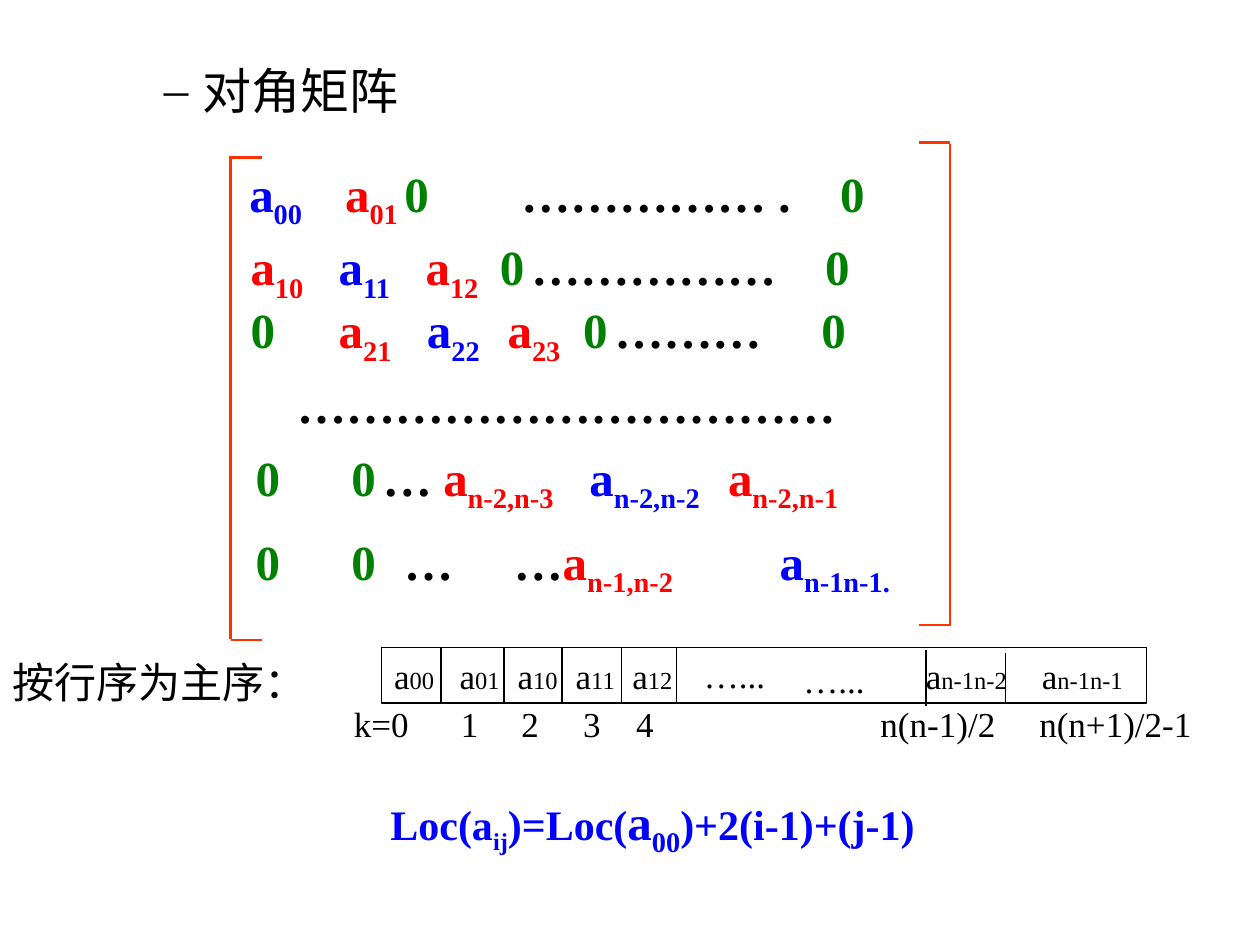
from lxml import etree
from pptx import Presentation
from pptx.dml.color import RGBColor
from pptx.enum.shapes import MSO_CONNECTOR as Link, MSO_SHAPE as Shape
from pptx.enum.text import MSO_ANCHOR as Anchor, PP_ALIGN as Align
from pptx.oxml.ns import qn
from pptx.util import Inches, Pt

HEX = {"black": "000000", "blue": "0000FF", "red": "FF0000",
       "green": "008000", "orange": "FF3300"}
INSET = 0.1


def add_run(para, text, size=28, color="black", bold=False, sub=False,
            face="Times New Roman"):
    run = para.add_run()
    run.text = text
    font = run.font
    font.name, font.size, font.bold = face, Pt(size), bold
    font.color.rgb = RGBColor.from_string(HEX[color])
    if sub:
        run._r.get_or_add_rPr().set("baseline", "-25000")


def set_stops(para, left, spots):
    """Set tab stops at slide positions for text in a box that starts at left."""
    tabs = etree.SubElement(para._p.get_or_add_pPr(), qn("a:tabLst"))
    for spot in spots:
        pos = Inches(spot - left - INSET)
        etree.SubElement(tabs, qn("a:tab"), pos=str(pos), algn="l")


prs = Presentation()
prs.slide_width, prs.slide_height = Inches(10), Inches(7.5)
slide = prs.slides.add_slide(prs.slide_layouts[5])
shapes = slide.shapes

# Heading
title = shapes.title
title.left, title.top = Inches(0.7), Inches(0.43)
title.width, title.height = Inches(9.3), Inches(0.94)
title.text_frame.vertical_anchor = Anchor.TOP
para = title.text_frame.paragraphs[0]
para.alignment = Align.LEFT
props = para._p.get_or_add_pPr()
props.set("marL", str(Inches(0.81)))
props.set("indent", str(Inches(-0.31)))
etree.SubElement(props, qn("a:buFont"), typeface="Times New Roman")
etree.SubElement(props, qn("a:buChar"), char="–")
add_run(para, "对角矩阵", face="Arial")

# Matrix rows: box, then cells as (tab stop, text, subscript, colour)
rows = [
    ((0.92, 1.25, 8.75, 0.63),
     [(1.98, "a", "00", "blue"), (2.74, "a", "01", "red"), (3.21, "0", "", "green"),
      (4.14, "…………… .", "", "black"), (6.67, "0", "", "green")]),
    ((0.92, 1.83, 8.5, 0.63),
     [(1.99, "a", "10", "red"), (2.69, "a", "11", "blue"), (3.38, "a", "12", "red"),
      (3.97, "0", "", "green"), (4.22, "……………", "", "black"), (6.55, "0", "", "green")]),
    ((1.08, 2.33, 8.25, 0.63),
     [(1.99, "0", "", "green"), (2.69, "a", "21", "red"), (3.39, "a", "22", "blue"),
      (4.03, "a", "23", "red"), (4.63, "0", "", "green"), (4.88, "………", "", "black"),
      (6.52, "0", "", "green")]),
    ((1, 2.92, 6.29, 0.57),
     [(2.36, "……………………………", "", "black")]),
    ((1.83, 3.5, 8.17, 0.63),
     [(2.03, "0", "", "green"), (2.79, "0", "", "green"), (3.04, "…", "", "black"),
      (3.52, "a", "n-2,n-3", "red"), (4.68, "a", "n-2,n-2", "blue"),
      (5.78, "a", "n-2,n-1", "red")]),
    ((1.83, 4.17, 7.83, 0.63),
     [(2.03, "0", "", "green"), (2.79, "0", "", "green"), (3.21, "…", "", "black"),
      (4.08, "…", "", "black"), (None, "a", "n-1,n-2", "red"),
      (6.19, "a", "n-1n-1.", "blue")]),
]
for spot, cells in rows:
    box = shapes.add_textbox(*map(Inches, spot))
    box.text_frame.word_wrap = True
    para = box.text_frame.paragraphs[0]
    set_stops(para, spot[0], [cell[0] for cell in cells if cell[0]])
    for stop, text, sub, color in cells:
        add_run(para, "\t" + text if stop else text, color=color, bold=True)
        if sub:
            add_run(para, sub, color=color, bold=True, sub=True)

# Storage array
bar = shapes.add_shape(Shape.RECTANGLE, Inches(3.03), Inches(5.14),
                       Inches(6.07), Inches(0.44))
bar.shadow.inherit = False
bar.fill.background()
bar.line.color.rgb = RGBColor.from_string(HEX["black"])
bar.line.width = Pt(0.75)
bar.text_frame.vertical_anchor = Anchor.MIDDLE
para = bar.text_frame.paragraphs[0]
para.alignment = Align.LEFT
items = [(3.13, "00"), (3.65, "01"), (4.11, "10"), (4.57, "11"), (5.02, "12"),
         (7.35, "n-1n-2"), (8.27, "n-1n-1")]
set_stops(para, 3.03, [stop for stop, sub in items[1:]])
for i, (stop, sub) in enumerate(items):
    add_run(para, "\ta" if i else "a", size=20)
    add_run(para, sub, size=14)

# Array captions: those without tab stops are centred, with no side margins
labels = [
    ("…...", (5.49, 5.13, 0.68, 0.44), 20, []),
    ("…...", (6.28, 5.17, 0.68, 0.44), 20, []),
    ("k=0\t1\t2\t3\t4\tn(n-1)/2\tn(n+1)/2-1", (2.71, 5.52, 6.93, 0.44), 20,
     [3.66, 4.14, 4.63, 5.05, 6.99, 8.25]),
    ("按行序为主序：", (0, 5.16, 2.53, 0.5), 24, []),
]
for text, spot, size, stops in labels:
    box = shapes.add_textbox(*map(Inches, spot))
    frame = box.text_frame
    frame.word_wrap = True
    frame.vertical_anchor = Anchor.MIDDLE
    para = frame.paragraphs[0]
    if stops:
        set_stops(para, spot[0], stops)
    else:
        frame.margin_left = frame.margin_right = 0
        para.alignment = Align.CENTER
    add_run(para, text, size=size)

# Brackets and array dividers
lines = [(x, y, x + 0.25, y, "orange", 1.5)
         for x, y in [(1.83, 1.25), (1.83, 5.08), (7.29, 1.13), (7.29, 4.96)]]
lines += [(x, y, x, y + 3.83, "orange", 1.5) for x, y in [(1.83, 1.24), (7.54, 1.14)]]
lines += [(x, 5.14, x, 5.58, "black", 0.75) for x in (3.5, 4, 4.46, 4.93, 5.37)]
lines += [(7.35, 5.16, 7.35, 5.6, "black", 0.75), (7.98, 5.18, 7.98, 5.58, "black", 0.75)]
for *ends, color, width in lines:
    line = shapes.add_connector(Link.STRAIGHT, *map(Inches, ends))
    line.line.color.rgb = RGBColor.from_string(HEX[color])
    line.line.width = Pt(width)
    etree.SubElement(line._element.spPr, qn("a:effectLst"))

# Address formula
box = shapes.add_textbox(Inches(3), Inches(6.23), Inches(5.42), Inches(0.63))
box.text_frame.word_wrap = True
para = box.text_frame.paragraphs[0]
for text, size, sub in [("Loc(a", 24, False), ("ij", 24, True), (")=Loc(", 24, False),
                        ("a", 28, False), ("00", 28, True),
                        (")+2(i-1)+(j-1)", 24, False)]:
    add_run(para, text, size=size, color="blue", bold=True, sub=sub)

prs.save("out.pptx")
